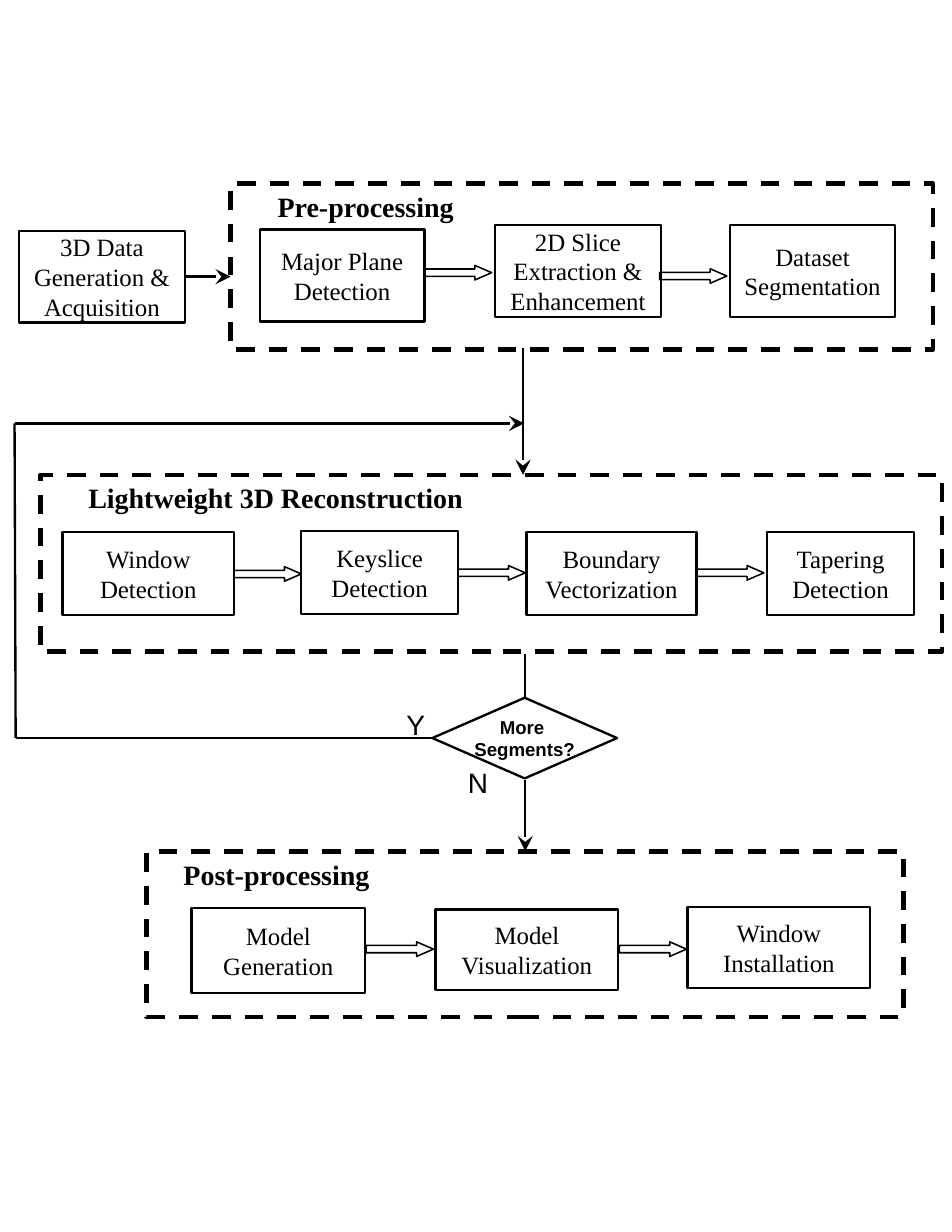
"""Build a flowchart of a 3D reconstruction pipeline on a portrait slide."""
from lxml import etree
from pptx import Presentation
from pptx.dml.color import RGBColor
from pptx.enum.dml import MSO_LINE
from pptx.enum.shapes import MSO_CONNECTOR, MSO_SHAPE
from pptx.enum.text import MSO_ANCHOR, PP_ALIGN
from pptx.oxml.ns import qn
from pptx.util import Inches, Pt

BLACK = RGBColor(0, 0, 0)
RECT = MSO_SHAPE.RECTANGLE
ARROW = MSO_SHAPE.RIGHT_ARROW
CHOICE = MSO_SHAPE.FLOWCHART_DECISION
LINE = MSO_CONNECTOR.STRAIGHT
DASH = MSO_LINE.DASH
MIDDLE = MSO_ANCHOR.MIDDLE
CENTER = PP_ALIGN.CENTER
LEFT = PP_ALIGN.LEFT
SERIF = "Times New Roman"
SANS = "Arial"

deck = Presentation()
deck.slide_width = Inches(8.5)
deck.slide_height = Inches(11)
slide = deck.slides.add_slide(deck.slide_layouts[6])
shapes = slide.shapes


def outline(kind, spot, width):
    shape = shapes.add_shape(kind, *[Inches(n) for n in spot])
    shape.shadow.inherit = False
    shape.fill.background()
    shape.line.color.rgb = BLACK
    shape.line.width = Pt(width)
    return shape


def write(shape, text, font, size, bold=False, align=CENTER, wrap=True):
    frame = shape.text_frame
    frame.word_wrap = wrap
    frame.text = text
    for para in frame.paragraphs:
        para.alignment = align
        para.font.name = font
        para.font.size = Pt(size)
        para.font.bold = bold
        para.font.color.rgb = BLACK


frames = [
    (2.06, 1.64, 6.27, 1.48),
    (0.36, 4.24, 8.05, 1.58),
    (1.31, 7.6, 6.76, 1.48),
]
for spot in frames:
    outline(RECT, spot, 3).line.dash_style = DASH

steps = [
    ("3D Data\nGeneration & Acquisition", 0.17, 2.06, 1.48, 0.82),
    ("Major Plane Detection", 2.32, 2.05, 1.47, 0.82),
    ("2D Slice Extraction & Enhancement", 4.42, 2.01, 1.48, 0.82),
    ("Dataset Segmentation", 6.52, 2.01, 1.47, 0.82),
    ("Window Detection", 0.56, 4.75, 1.53, 0.74),
    ("Keyslice Detection", 2.69, 4.74, 1.4, 0.74),
    ("Boundary Vectorization", 4.7, 4.75, 1.52, 0.74),
    ("Tapering Detection", 6.85, 4.75, 1.31, 0.74),
    ("Model Generation", 1.71, 8.11, 1.55, 0.76),
    ("Model Visualization", 3.89, 8.12, 1.63, 0.72),
    ("Window Installation", 6.14, 8.1, 1.63, 0.72),
]
for text, *spot in steps:
    box = outline(RECT, spot, 1.5)
    box.text_frame.vertical_anchor = MIDDLE
    write(box, text, SERIF, 16)

arrows = [
    (3.79, 2.37), (5.89, 2.4),
    (2.09, 5.06), (4.09, 5.05), (6.22, 5.05),
    (3.27, 8.41), (5.53, 8.41),
]
for left, top in arrows:
    arrow = outline(ARROW, (left, top, 0.6, 0.13), 1)
    arrow.adjustments[0] = 0.5
    arrow.adjustments[1] = 1.15

choice = outline(CHOICE, (3.86, 6.23, 1.65, 0.72), 1.5)
choice.text_frame.vertical_anchor = MIDDLE
write(choice, "More \nSegments?", SANS, 12, bold=True, wrap=False)

labels = [
    ("Pre-processing", 2.38, 1.64, 2.08, SERIF, True),
    ("Lightweight 3D Reconstruction", 0.69, 4.24, 3.9, SERIF, True),
    ("Post-processing", 1.54, 7.61, 2.17, SERIF, True),
    ("Y", 3.53, 6.27, 0.4, SANS, False),
    ("N", 4.08, 6.79, 0.4, SANS, False),
]
for text, left, top, width, font, bold in labels:
    label = shapes.add_textbox(
        Inches(left), Inches(top), Inches(width), Inches(0.4))
    write(label, text, font, 18, bold, LEFT)

links = [
    (1.65, 2.47, 2.06, 2.47, True),
    (4.67, 3.11, 4.67, 4.24, True),
    (4.69, 5.84, 4.69, 6.23, False),
    (3.86, 6.59, 0.14, 6.59, False),
    (0.14, 6.59, 0.13, 3.78, False),
    (0.13, 3.78, 4.68, 3.78, True),
    (4.69, 6.96, 4.69, 7.6, True),
]
for *ends, tip in links:
    link = shapes.add_connector(LINE, *[Inches(n) for n in ends])
    link.line.color.rgb = BLACK
    link.line.width = Pt(1.5)
    if tip:
        etree.SubElement(link.line._get_or_add_ln(), qn("a:tailEnd"),
                         type="stealth", w="lg", len="lg")
    etree.SubElement(link._element.spPr, qn("a:effectLst"))

deck.save("out.pptx")
